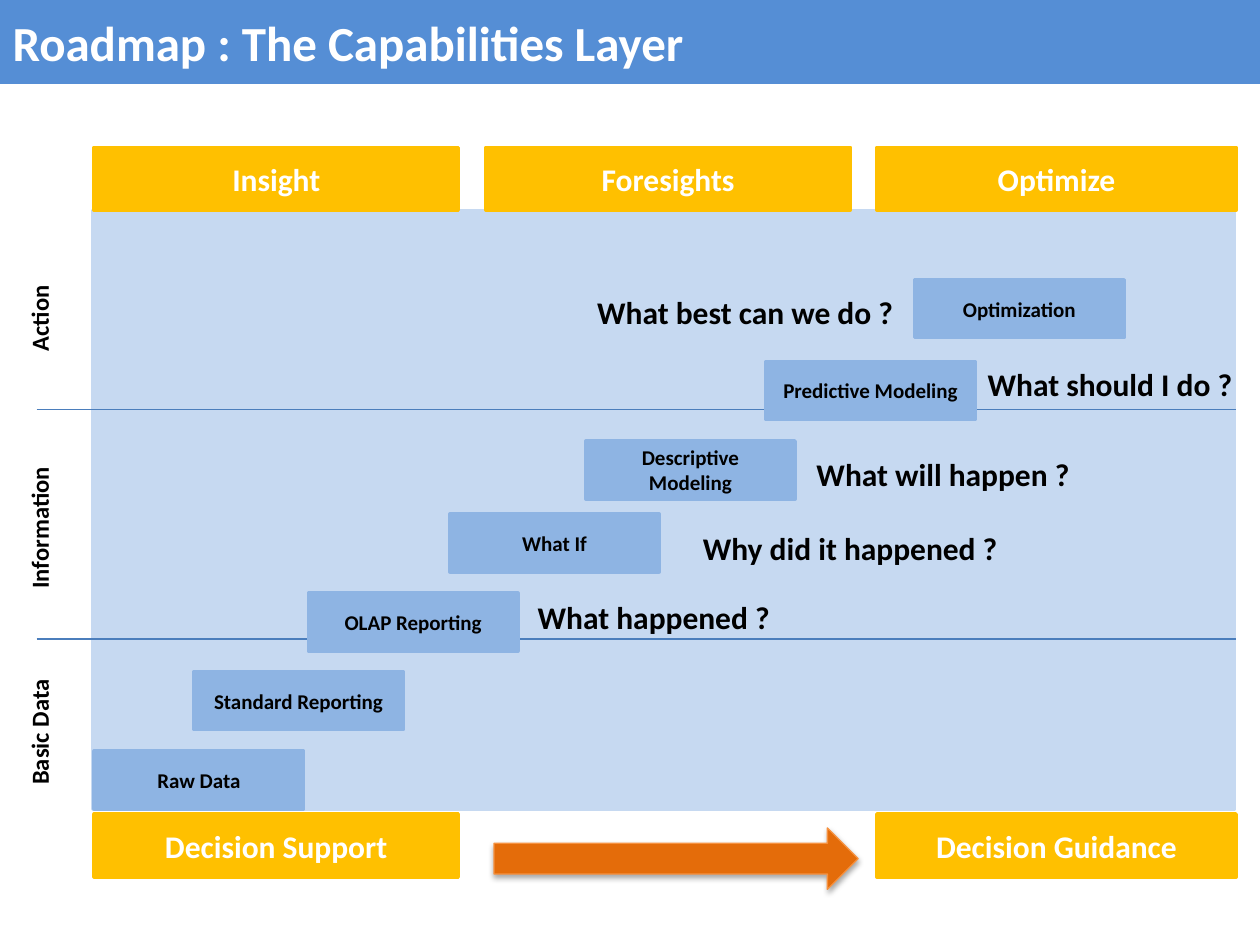
"""Build the capabilities roadmap slide."""
from lxml import etree
from pptx import Presentation
from pptx.dml.color import RGBColor
from pptx.enum.shapes import MSO_CONNECTOR, MSO_SHAPE
from pptx.enum.text import MSO_ANCHOR, MSO_AUTO_SIZE, PP_ALIGN
from pptx.oxml import parse_xml
from pptx.oxml.ns import nsdecls, qn
from pptx.util import Cm, Pt

RECT, ARROW = MSO_SHAPE.RECTANGLE, MSO_SHAPE.RIGHT_ARROW
STRAIGHT = MSO_CONNECTOR.STRAIGHT
MIDDLE, TOP = MSO_ANCHOR.MIDDLE, MSO_ANCHOR.TOP
LEFT, CENTER = PP_ALIGN.LEFT, PP_ALIGN.CENTER
FIT, FIXED = MSO_AUTO_SIZE.SHAPE_TO_FIT_TEXT, MSO_AUTO_SIZE.NONE

WHITE = RGBColor(0xFF, 0xFF, 0xFF)
BLACK = RGBColor(0, 0, 0)
BLUE = RGBColor(0x55, 0x8E, 0xD5)
PALE = RGBColor(0xC6, 0xD9, 0xF1)
SKY = RGBColor(0x8E, 0xB4, 0xE3)
GOLD = RGBColor(0xFF, 0xC0, 0x00)
RULE = RGBColor(0x4B, 0x7E, 0xBC)
ORANGE = RGBColor(0xE4, 0x6C, 0x0A)
EDGE = RGBColor(0xF6, 0x92, 0x40)

TITLE = "Roadmap : The Capabilities Layer"
COLS = [(1.9, 7.34), (9.8, 7.34), (17.68, 7.24)]
BARS = [
    (2.97, ["Insight", "Foresights", "Optimize"]),
    (16.41, ["Decision Support", None, "Decision Guidance"]),
]
RULES = [8.26, 12.88]
LEVELS = [
    ("Basic Data", 14.75, 2.64),
    ("Information", 10.63, 2.97),
    ("Action", 6.41, 1.85),
]
STEPS = [
    ("Raw Data", 1.9, 15.14),
    ("Standard Reporting", 3.91, 13.54),
    ("OLAP Reporting", 6.22, 11.96),
    ("What If", 9.07, 10.36),
    ("Descriptive Modeling", 11.81, 8.89),
    ("Predictive Modeling", 15.44, 7.29),
    ("Optimization", 18.44, 5.64),
]
ASKS = [
    ("What happened ?", 10.59, 11.94, 5.41),
    ("Why did it happened ?", 13.92, 10.54, 6.73),
    ("What best can we do ?", 11.79, 5.79, 6.76),
    ("What will happen ?", 16.21, 9.04, 5.87),
    ("What should I do ?", 19.66, 7.24, 5.69),
]
SHADOW = (
    f'<a:effectLst {nsdecls("a")}><a:outerShdw blurRad="40000" dist="23000" '
    'dir="5400000" rotWithShape="0"><a:srgbClr val="000000">'
    '<a:alpha val="35000"/></a:srgbClr></a:outerShdw></a:effectLst>'
)


def style(item, values):
    for name, value in values.items():
        setattr(item, name, value)


def write(shape, text, size, color, align=CENTER, **frame):
    style(shape.text_frame, {"vertical_anchor": MIDDLE, "word_wrap": True, **frame})
    para = shape.text_frame.paragraphs[0]
    para.alignment = align
    run = para.add_run()
    run.text = text
    style(run.font, {"name": "Calibri", "size": Pt(size), "bold": True})
    run.font.color.rgb = color


def block(shapes, kind, box, fill, edge, width=2):
    shape = shapes.add_shape(kind, *map(Cm, box))
    shape.shadow.inherit = False
    shape.fill.solid()
    shape.fill.fore_color.rgb = fill
    shape.line.color.rgb = edge
    shape.line.width = Pt(width)
    return shape


def label(shapes, text, box, size):
    note = shapes.add_textbox(*map(Cm, box))
    write(note, text, size, BLACK, LEFT, vertical_anchor=TOP,
          word_wrap=False, auto_size=FIT)
    return note


def main():
    deck = Presentation()
    deck.slide_width, deck.slide_height = Cm(25.4), Cm(19.05)
    slide = deck.slides.add_slide(deck.slide_layouts[5])
    shapes = slide.shapes

    head = shapes.title
    style(head, {"left": 0, "top": 0, "width": Cm(25.4), "height": Cm(1.69)})
    head.fill.solid()
    head.fill.fore_color.rgb = BLUE
    write(head, TITLE, 28, WHITE, LEFT, auto_size=FIXED)

    block(shapes, RECT, (1.88, 4.24, 23.01, 12.07), PALE, PALE)
    for top, names in BARS:
        for name, (left, width) in zip(names, COLS):
            if name:
                bar = block(shapes, RECT, (left, top, width, 1.27), GOLD, GOLD)
                write(bar, name, 18, WHITE)

    for y in RULES:
        rule = shapes.add_connector(STRAIGHT, Cm(0.74), Cm(y), Cm(24.92), Cm(y))
        rule.line.color.rgb = RULE
        rule.line.width = Pt(0.75)
        etree.SubElement(rule._element.spPr, qn("a:effectLst"))

    for name, mid, width in LEVELS:
        box = (0.81 - width / 2, mid - 0.445, width, 0.89)
        label(shapes, name, box, 14).rotation = 270

    for name, left, top in STEPS:
        step = block(shapes, RECT, (left, top, 4.22, 1.17), SKY, SKY)
        write(step, name, 12, BLACK)

    for text, left, top, width in ASKS:
        label(shapes, text, (left, top, width, 1.02), 18)

    arrow = block(shapes, ARROW, (9.96, 16.69, 7.34, 1.24), ORANGE, EDGE, 0.75)
    props = arrow._element.spPr
    props.replace(props.find(qn("a:effectLst")), parse_xml(SHADOW))

    deck.save("out.pptx")


if __name__ == "__main__":
    main()
